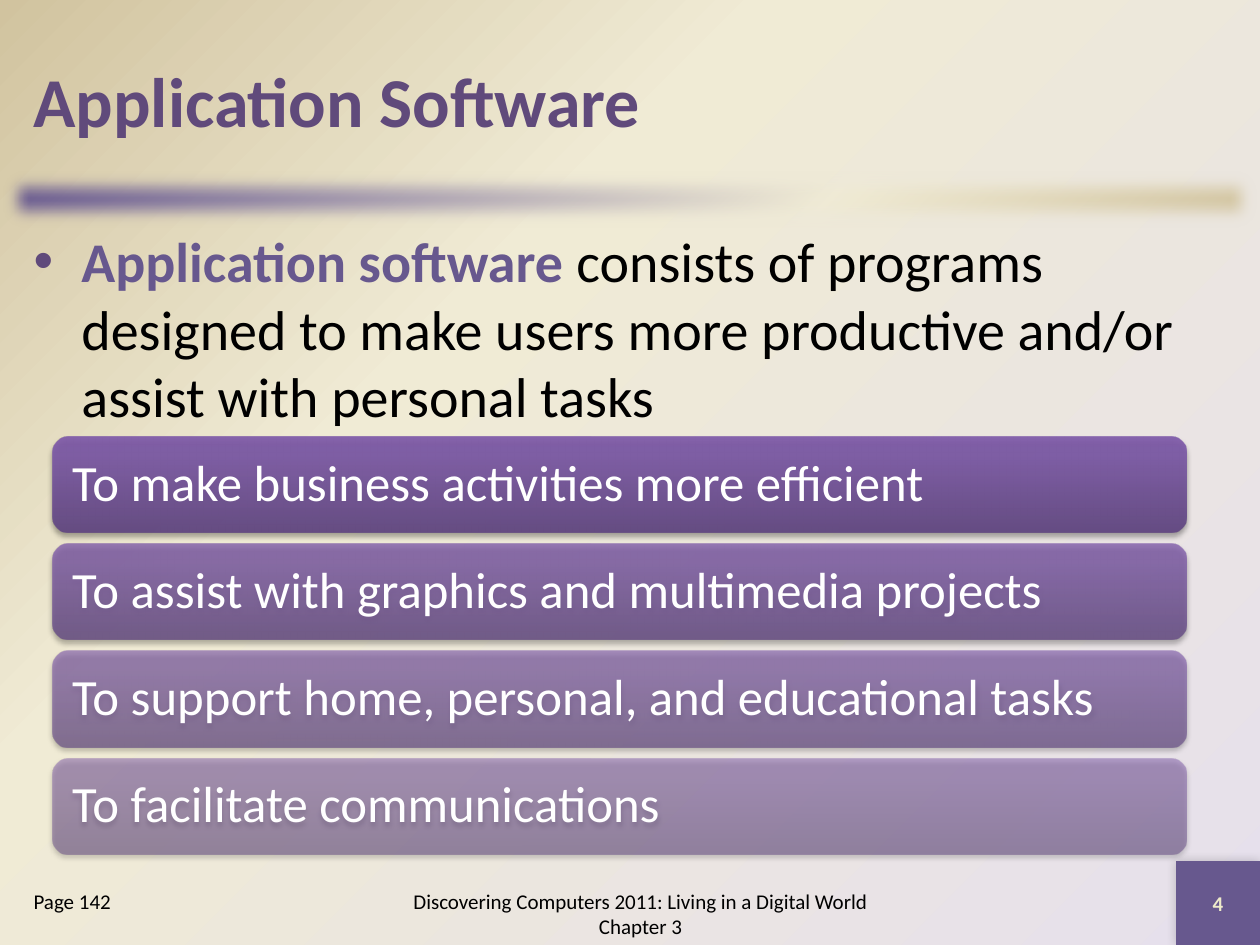
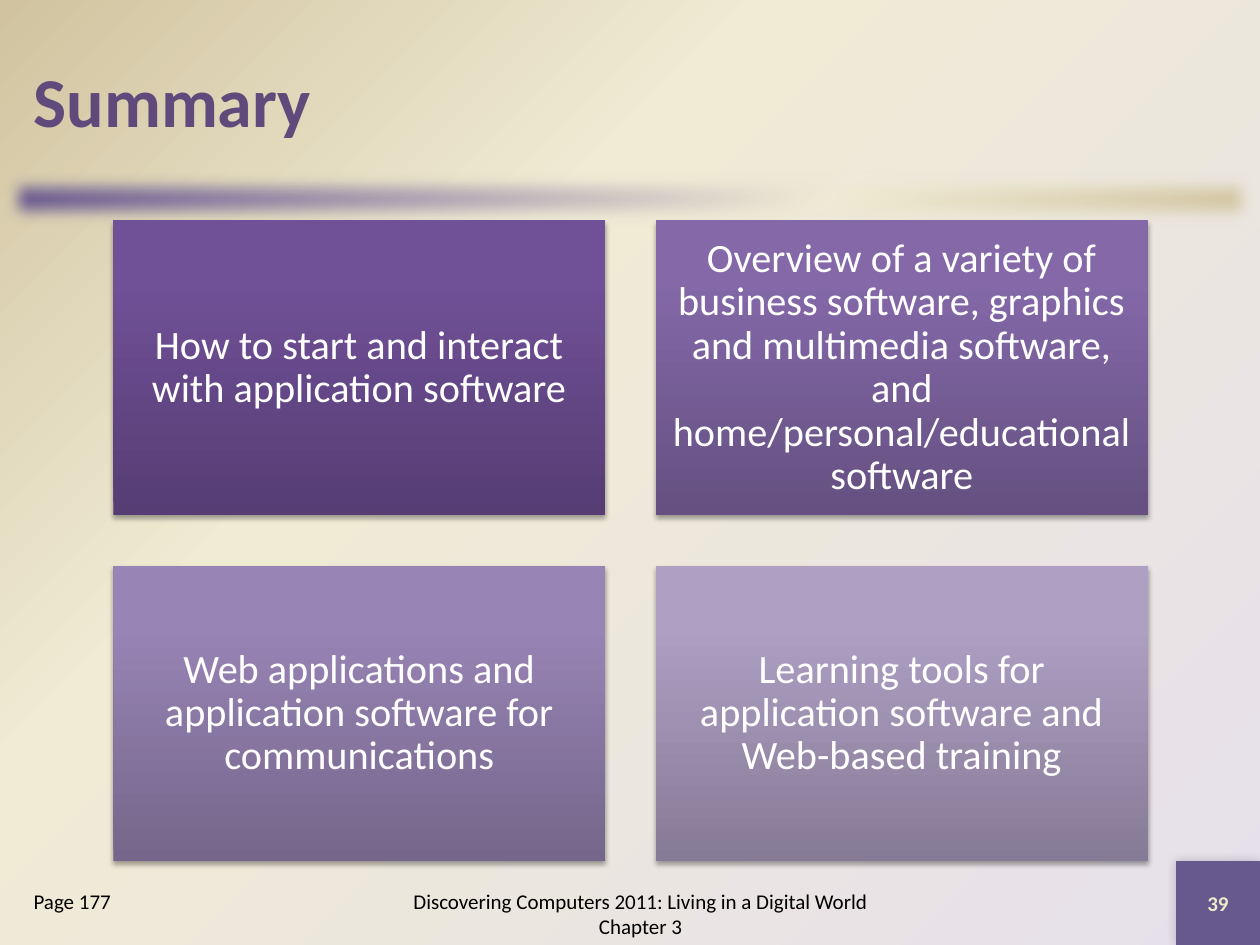
from lxml.etree import SubElement
from pptx import Presentation
from pptx.dml.color import RGBColor
from pptx.enum.shapes import MSO_SHAPE
from pptx.enum.text import MSO_ANCHOR, MSO_AUTO_SIZE, PP_ALIGN
from pptx.oxml import parse_xml
from pptx.oxml.ns import nsdecls, qn
from pptx.util import Inches, Pt

COLS, ROWS = 60, 45
WIDTH, HEIGHT = Inches(10), Inches(7.5)

PLUM = RGBColor(0x60, 0x4A, 0x7B)
VIOLET = RGBColor(0x67, 0x58, 0x8E)
LILAC = RGBColor(0xE6, 0xE0, 0xEC)
CREAM = RGBColor(0xF0, 0xEB, 0xD5)
TAN = RGBColor(0xD1, 0xC3, 0x9F)
PALE = RGBColor(0xEE, 0xEB, 0xCA)
BLACK = RGBColor(0, 0, 0)
WHITE = RGBColor(0xFF, 0xFF, 0xFF)
BAR = (RGBColor(0x5F, 0x44, 0x80), RGBColor(0x7B, 0x58, 0xA6), RGBColor(0x7C, 0x57, 0xA8))
TILES = (
    (RGBColor(0x56, 0x3D, 0x74), RGBColor(0x70, 0x50, 0x97), RGBColor(0x70, 0x4F, 0x99)),
    (RGBColor(0x65, 0x50, 0x81), RGBColor(0x84, 0x68, 0xA8), RGBColor(0x84, 0x67, 0xAA)),
    (RGBColor(0x75, 0x66, 0x8B), RGBColor(0x98, 0x84, 0xB5), RGBColor(0x99, 0x84, 0xB7)),
    (RGBColor(0x86, 0x7B, 0x96), RGBColor(0xAE, 0x9F, 0xC3), RGBColor(0xAE, 0x9F, 0xC4)),
)

FONT = "Calibri"
FOOTER = "Discovering Computers 2011: Living in a Digital World Chapter 3"
TITLE_BOX = (1, 1, 58, 8.5 - 1)
BAND_BOX = (0, 8, 60, 3)
BODY_BOX = (1, 10.5, 58, 30.5)
CORNER_BOX = (56, 41, 4, 4)
FOOTER_BOX = (18, 42, 25, 3)
PAGE_BOX = (1, 42, 11, 3)
BARS_BOX = (2.5, 20.8, 54, 19.88)
TILES_BOX = (5.4, 10.5, 49.26, 30.5)

CARD_SHADOW = dict(alpha=35, blur=3.1, dist=1.8, angle=90)
CORNER_SHADOW = dict(alpha=20, blur=6, dist=0, angle=225)


def apply(obj, values):
    """Set each named value on an object."""
    for name, value in values.items():
        setattr(obj, name, value)


def place(box):
    """Turn a grid box into slide lengths."""
    x, y, w, h = box
    return (int(x * WIDTH / COLS), int(y * HEIGHT / ROWS),
            int(w * WIDTH / COLS), int(h * HEIGHT / ROWS))


def cells(box, cols, rows, gap):
    """Split a box into equal cells, row by row."""
    x, y, w, h = box
    cw, ch = (w - gap * (cols - 1)) / cols, (h - gap * (rows - 1)) / rows
    return [(x + c * (cw + gap), y + r * (ch + gap), cw, ch)
            for r in range(rows) for c in range(cols)]


def gradient(fill, parent, colors, positions, direction, alpha=100):
    """Replace a fill with a gradient of several stops."""
    fill.solid()
    stops = "".join(
        f'<a:gs pos="{pos * 1000}"><a:srgbClr val="{color}">'
        f'<a:alpha val="{alpha * 1000}"/></a:srgbClr></a:gs>'
        for color, pos in zip(colors, positions))
    solid = parent.find(qn("a:solidFill"))
    parent.replace(solid, parse_xml(
        f'<a:gradFill {nsdecls("a")} rotWithShape="1"><a:gsLst>{stops}</a:gsLst>{direction}</a:gradFill>'))


def linear(angle):
    """Give the direction of a straight gradient."""
    return f'<a:lin ang="{angle * 60000}" scaled="0"/>'


def effect(sp, tag, **values):
    """Add one effect to a shape and return it."""
    effects = sp._element.spPr.find(qn("a:effectLst"))
    return SubElement(effects, qn(tag), {k: str(v) for k, v in values.items()})


def add_shadow(sp, alpha, blur, dist, angle):
    """Add a soft black shadow."""
    shadow = effect(sp, "a:outerShdw", blurRad=Pt(blur), dist=Pt(dist),
                    dir=angle * 60000, algn="ctr", rotWithShape=0)
    color = SubElement(shadow, qn("a:srgbClr"), val=str(BLACK))
    SubElement(color, qn("a:alpha"), val=str(alpha * 1000))


def add_box(s, kind, box):
    """Add a plain shape without line or shadow."""
    sp = s.shapes.add_shape(kind, *place(box))
    sp.shadow.inherit = False
    sp.line.fill.background()
    return sp


def write(sp, runs, size, align=PP_ALIGN.LEFT, anchor=MSO_ANCHOR.TOP, inset=None, spacing=1.0):
    """Fill a shape with one paragraph of (text, colour, bold) runs."""
    tf = sp.text_frame
    apply(tf, dict(word_wrap=True, auto_size=MSO_AUTO_SIZE.NONE, vertical_anchor=anchor))
    if inset is not None:
        apply(tf, {f"margin_{side}": Inches(inset) for side in ("left", "top", "right", "bottom")})
    p = tf.paragraphs[0]
    apply(p, dict(alignment=align, line_spacing=spacing, space_before=Pt(0)))
    for text, color, bold in runs:
        r = p.add_run()
        r.text = text
        apply(r.font, dict(name=FONT, size=Pt(size), bold=bold))
        r.font.color.rgb = color
    return p


def fill_placeholder(sp, box, *args, **kwargs):
    """Move a placeholder and write its text."""
    apply(sp, dict(zip(("left", "top", "width", "height"), place(box))))
    return write(sp, *args, **kwargs)


def set_bullet(p, indent=0, char=None):
    """Give a paragraph a hanging bullet, or none."""
    pPr = p._p.get_or_add_pPr()
    apply_to = {"marL": Inches(indent), "indent": -Inches(indent)}
    for name, value in apply_to.items():
        pPr.set(name, str(value))
    if char:
        SubElement(SubElement(pPr, qn("a:buClr")), qn("a:srgbClr"), val=str(PLUM))
        SubElement(pPr, qn("a:buChar"), char=char)
    else:
        SubElement(pPr, qn("a:buNone"))


def set_background(master):
    """Paint the shared background."""
    fill = master.background.fill
    fill.solid()
    bgPr = master._element.cSld.find(qn("p:bg")).find(qn("p:bgPr"))
    gradient(fill, bgPr, (LILAC, CREAM, TAN), (0, 65, 100),
             '<a:path path="circle"><a:fillToRect l="100000" t="100000"/></a:path>')


def add_frame(prs, layout, title, page, number):
    """Start a slide with title, band, corner and footers."""
    s = prs.slides.add_slide(prs.slide_layouts[layout])
    band = add_box(s, MSO_SHAPE.RECTANGLE, BAND_BOX)
    gradient(band.fill, band._element.spPr, (VIOLET, CREAM, TAN), (0, 65, 100), linear(45))
    effect(band, "a:softEdge", rad=Pt(10))
    corner = add_box(s, MSO_SHAPE.RECTANGLE, CORNER_BOX)
    corner.fill.solid()
    corner.fill.fore_color.rgb = VIOLET
    add_shadow(corner, **CORNER_SHADOW)
    centred = dict(align=PP_ALIGN.CENTER, anchor=MSO_ANCHOR.MIDDLE)
    write(corner, [(number, PALE, True)], 12, **centred)
    write(s.shapes.add_textbox(*place(FOOTER_BOX)), [(FOOTER, BLACK, False)], 12, **centred)
    fill_placeholder(s.shapes.title, TITLE_BOX, [(title, PLUM, True)], 40, anchor=MSO_ANCHOR.MIDDLE)
    *bodies, page_ref = list(s.placeholders)[1:]
    set_bullet(fill_placeholder(page_ref, PAGE_BOX, [(page, BLACK, False)], 12))
    return s, bodies


def add_card(s, kind, box, text, colors, alpha, size, inset, align):
    """Add a shaded card with its text."""
    sp = add_box(s, kind, box)
    gradient(sp.fill, sp._element.spPr, colors, (0, 80, 100), linear(270), alpha)
    add_shadow(sp, **CARD_SHADOW)
    write(sp, [(text, WHITE, False)], size, align, MSO_ANCHOR.MIDDLE, inset, 0.9)


def add_definition_slide(prs, title, page, number, runs, uses):
    """Build a slide with a definition above a stack of bars."""
    s, (body,) = add_frame(prs, 3, title, page, number)
    set_bullet(fill_placeholder(body, BODY_BOX, runs, 32), 0.38, "•")
    for box, text, alpha in zip(cells(BARS_BOX, 1, len(uses), 0.53), uses, (90, 77, 63, 50)):
        add_card(s, MSO_SHAPE.ROUNDED_RECTANGLE, box, text, BAR, alpha, 29, 0.12, PP_ALIGN.LEFT)


def add_summary_slide(prs, title, page, number, topics):
    """Build a slide with two columns of topic tiles."""
    s, _ = add_frame(prs, 1, title, page, number)
    for box, text, colors in zip(cells(TILES_BOX, 2, 2, 2.4), topics, TILES):
        add_card(s, MSO_SHAPE.RECTANGLE, box, text, colors, 100, 23, 0.1, PP_ALIGN.CENTER)


def main():
    """Build and save the presentation."""
    prs = Presentation()
    apply(prs, dict(slide_width=WIDTH, slide_height=HEIGHT))
    set_background(prs.slide_master)
    add_definition_slide(
        prs, "Application Software", "Page 142", "4",
        [("Application software ", VIOLET, True),
         ("consists of programs designed to make users more productive "
          "and/or assist with personal tasks", BLACK, False)],
        ["To make business activities more efficient",
         "To assist with graphics and multimedia projects",
         "To support home, personal, and educational tasks",
         "To facilitate communications"])
    add_summary_slide(
        prs, "Summary", "Page 177", "39",
        ["How to start and interact with application software",
         "Overview of a variety of business software, graphics and multimedia software, "
         "and home/personal/educational software",
         "Web applications and application software for communications",
         "Learning tools for application software and Web-based training"])
    prs.save("out.pptx")


if __name__ == "__main__":
    main()
